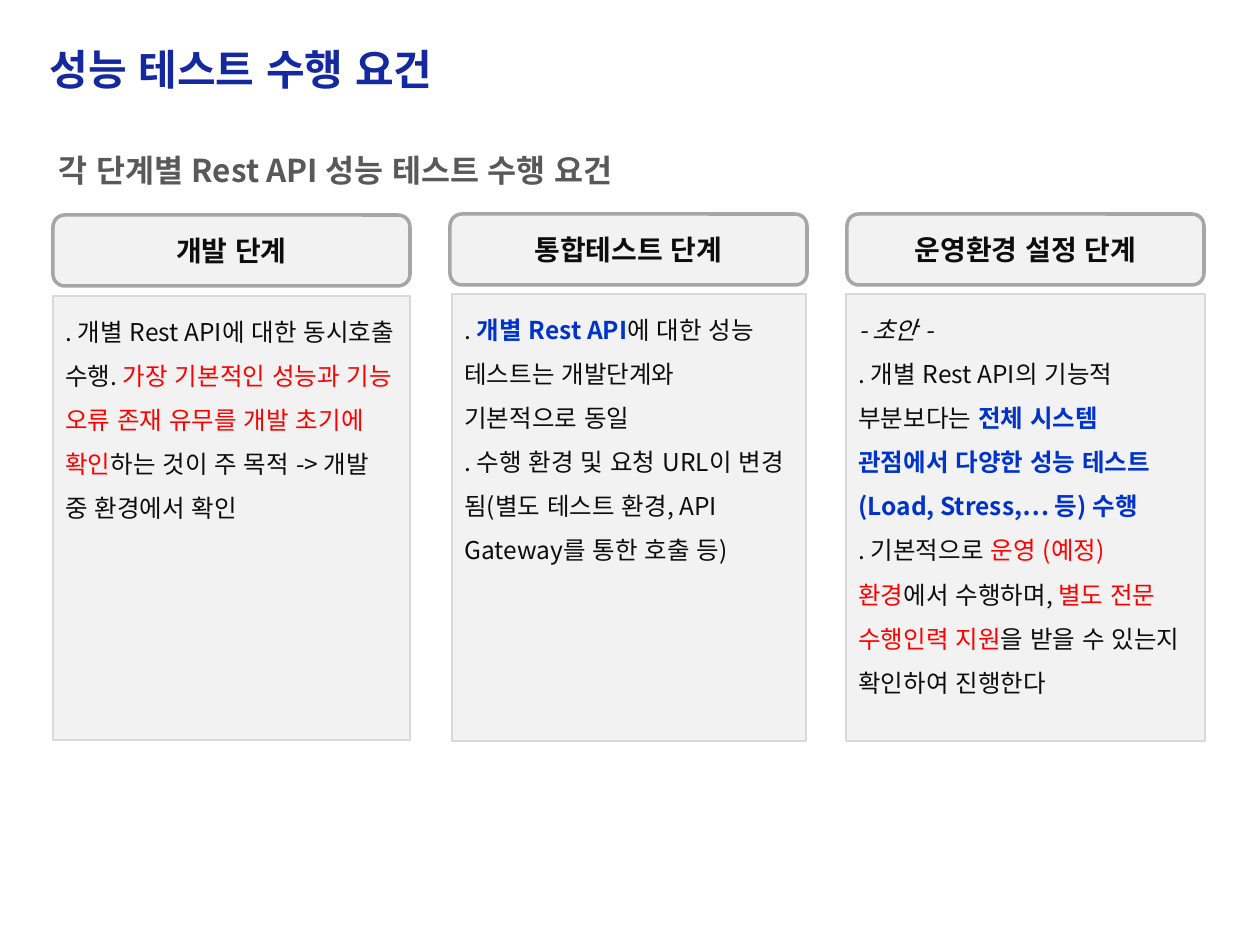
import pptx
import pptx.util
import pptx.dml.color
import pptx.enum.lang
import pptx.enum.shapes
import pptx.enum.text
import pptx.oxml.ns
from dataclasses import dataclass
from lxml import etree

EMU_PER_PX = 914400 / 126
SHAPE = pptx.enum.shapes.MSO_SHAPE
ALIGN = pptx.enum.text.PP_ALIGN
ANCHOR = pptx.enum.text.MSO_ANCHOR


@dataclass(frozen=True)
class Theme:
    font: str = "Noto Sans CJK KR"
    title: str = "1428A0"
    subtitle: str = "595959"
    ink: str = "0D0D0D"
    blue: str = "0033CC"
    red: str = "FF0000"
    panel: str = "F2F2F2"
    header_line: str = "A6A6A6"
    body_line: str = "D9D9D9"
    title_size: int = 24
    subtitle_size: int = 18
    header_size: int = 16
    body_size: int = 14


def px(n):
    return pptx.util.Emu(round(n * EMU_PER_PX))


def rgb(color):
    return pptx.dml.color.RGBColor.from_string(color)


class Deck:
    def __init__(self, theme, slide):
        self.theme = theme
        self.slide = slide

    def run(self, p, text, size, color, bold=False, italic=False):
        r = p.add_run()
        r.text = text
        f = r.font
        f.size, f.bold, f.italic = pptx.util.Pt(size), bold, italic
        f.color.rgb = rgb(color)
        f.name = self.theme.font
        f.language_id = pptx.enum.lang.MSO_LANGUAGE_ID.KOREAN
        ea = etree.SubElement(r._r.get_or_add_rPr(), pptx.oxml.ns.qn("a:ea"))
        ea.set("typeface", self.theme.font)

    def text(self, box, text, size, color, anchor=ANCHOR.TOP):
        sp = self.slide.shapes.add_textbox(*map(px, box))
        tf = sp.text_frame
        tf.word_wrap = True
        tf.vertical_anchor = anchor
        self.run(tf.paragraphs[0], text, size, color, bold=True)

    def panel(self, kind, box, line, width, anchor):
        """Add a filled, outlined shape and return its text frame."""
        sp = self.slide.shapes.add_shape(kind, *map(px, box))
        sp.shadow.inherit = False
        sp.fill.solid()
        sp.fill.fore_color.rgb = rgb(self.theme.panel)
        sp.line.color.rgb = rgb(line)
        sp.line.width = pptx.util.Pt(width)
        tf = sp.text_frame
        tf.word_wrap = True
        tf.vertical_anchor = anchor
        return tf

    def header(self, box, text):
        t = self.theme
        tf = self.panel(SHAPE.ROUNDED_RECTANGLE, box, t.header_line, 2, ANCHOR.MIDDLE)
        p = tf.paragraphs[0]
        p.alignment = ALIGN.CENTER
        self.run(p, text, t.header_size, t.ink, bold=True)

    def body(self, box, paragraphs):
        t = self.theme
        styles = {
            "plain": dict(color=t.ink),
            "draft": dict(color=t.ink, italic=True),
            "warn": dict(color=t.red),
            "key": dict(color=t.blue, bold=True),
        }
        tf = self.panel(SHAPE.RECTANGLE, box, t.body_line, 1, ANCHOR.TOP)
        for i, runs in enumerate(paragraphs):
            p = tf.add_paragraph() if i else tf.paragraphs[0]
            p.alignment = ALIGN.LEFT
            p.line_spacing = 1.5
            for style, text in runs:
                self.run(p, text, t.body_size, **styles[style])


# Each stage: header text, header top, body box, body paragraphs
STAGES = [
    ("개발 단계", 215, (53, 296, 357, 444), [
        [("plain", ". 개별 Rest API에 대한 동시호출 수행. "),
         ("warn", "가장 기본적인 성능과 기능 오류 존재 유무를 개발 초기에 확인"),
         ("plain", "하는 것이 주 목적 -> 개발 중 환경에서 확인")],
    ]),
    ("통합테스트 단계", 214, (452, 294, 354, 447), [
        [("plain", ". "),
         ("key", "개별 Rest API"),
         ("plain", "에 대한 성능 테스트는 개발단계와 기본적으로 동일")],
        [("plain", ". 수행 환경 및 요청 URL이 변경 됨(별도 테스트 환경, API Gateway를 통한 호출 등)")],
    ]),
    ("운영환경 설정 단계", 214, (846, 294, 359, 447), [
        [("draft", "- 초안 -")],
        [("plain", ". 개별 Rest API의 기능적 부분보다는 "),
         ("key", "전체 시스템 관점에서 다양한 성능 테스트(Load, Stress,… 등) 수행")],
        [("plain", ". 기본적으로 "),
         ("warn", "운영 (예정)환경"),
         ("plain", "에서 수행하며, "),
         ("warn", "별도 전문 수행인력 지원"),
         ("plain", "을 받을 수 있는지 확인하여 진행한다")],
    ]),
]
STAGE_LEFT, STAGE_PITCH = 53, 397
HEADER_WIDTH, HEADER_HEIGHT = 357, 71


def main():
    prs = pptx.Presentation()
    prs.slide_width, prs.slide_height = px(1260), px(945)
    theme = Theme()
    deck = Deck(theme, prs.slides.add_slide(prs.slide_layouts[6]))

    deck.text((37, 38, 1050, 62), "성능 테스트 수행 요건",
              theme.title_size, theme.title, ANCHOR.MIDDLE)
    deck.text((46, 145, 1134, 59), "각 단계별 Rest API 성능 테스트 수행 요건",
              theme.subtitle_size, theme.subtitle)
    for i, (name, top, body_box, paragraphs) in enumerate(STAGES):
        left = STAGE_LEFT + i * STAGE_PITCH
        deck.header((left, top, HEADER_WIDTH, HEADER_HEIGHT), name)
        deck.body(body_box, paragraphs)

    prs.save("out.pptx")


if __name__ == "__main__":
    main()
